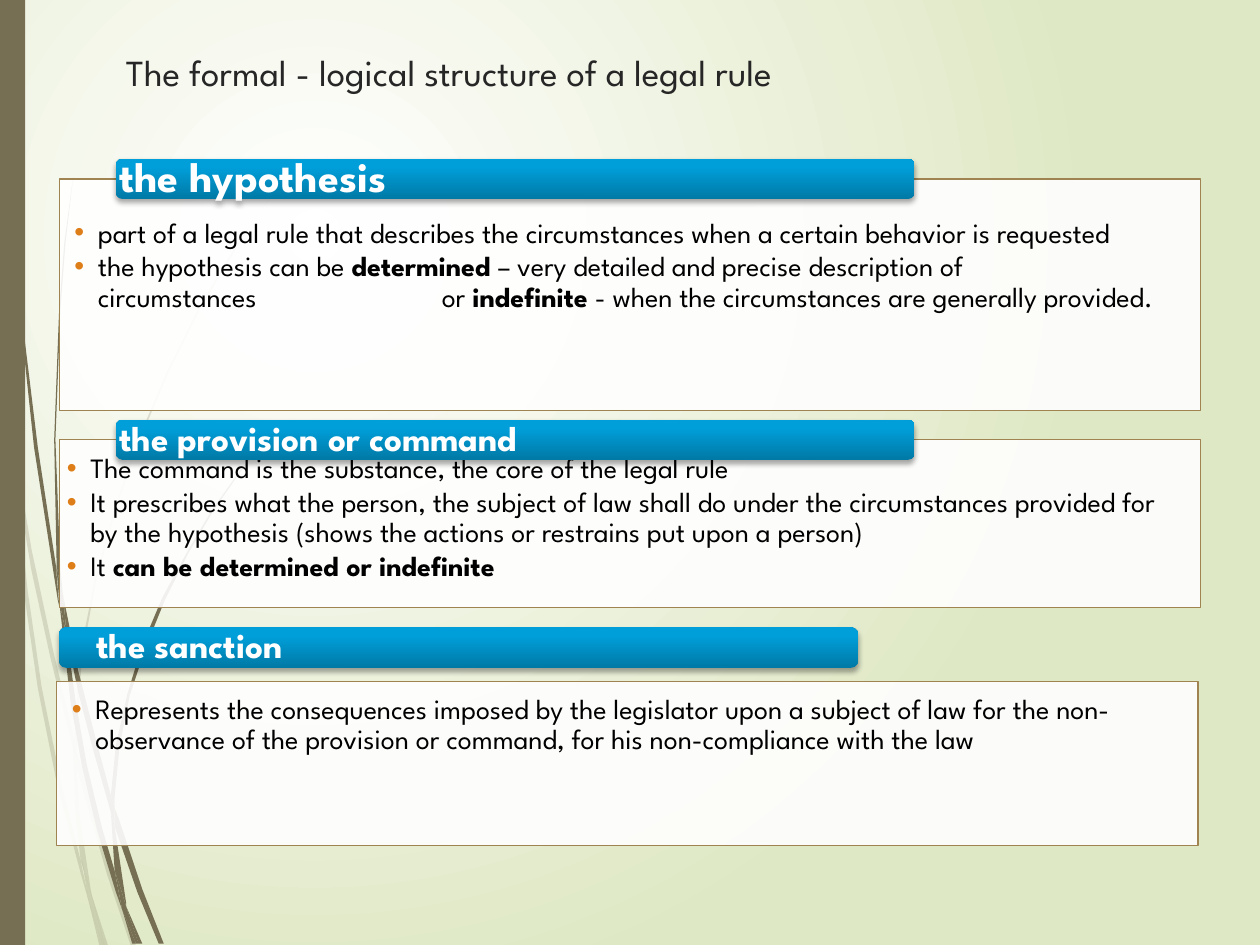
from dataclasses import dataclass

from pptx import Presentation
from pptx import util as u
from pptx.dml.color import RGBColor
from pptx.enum import shapes, text
from pptx.oxml import parse_xml
from pptx.oxml.ns import nsdecls, qn


@dataclass(frozen=True)
class Theme:
    """Colours, type sizes and font of the slide."""
    font: str = "League Spartan"
    olive: str = "766F54"
    ink: str = "000000"
    title_ink: str = "262626"
    white: str = "FFFFFF"
    border: str = "9F8351"
    bullet: str = "DE7E18"
    page: tuple = ((0, "FFFFFF"), (100, "DFE8C4"))
    bar: tuple = ((0, "0079A6"), (80, "009FDA"), (100, "00A0DB"))
    title_size: float = 21
    body_size: float = 16


T = Theme()
GRID = 0.72

PALE_WISPS = [
    [(8, 350), (6, 322), (0, 282), (0, 299), (7, 344)],
    [(40, 522), (59, 599), (59, 586), (43, 520), (25, 436), (10, 345), (12, 376), (25, 453)],
    [(64, 607), (61, 596), (61, 610), (85, 694), (104, 751), (108, 751), (88, 692)],
    [(83, 751), (86, 751), (73, 711)],
    [(64, 683), (48, 619), (33, 545), (22, 469), (12, 376), (8, 350), (12, 411), (19, 470),
     (30, 546), (45, 621), (64, 693), (70, 714), (69, 707)],
    [(58, 599), (60, 646), (64, 683), (67, 692), (73, 711), (72, 706), (63, 646), (61, 610), (61, 608)],
    [(61, 584), (65, 522), (76, 462), (92, 404), (111, 349), (134, 295), (159, 245), (187, 198),
     (201, 175), (217, 154), (217, 153), (201, 175), (186, 197), (158, 244), (133, 294), (110, 348),
     (91, 403), (75, 461), (63, 522), (59, 584), (59, 586), (61, 596)],
    [(70, 714), (79, 751), (82, 751)],
    [(61, 608), (61, 610), (61, 596), (59, 586), (58, 599)],
    [(67, 692), (65, 683), (69, 707), (70, 714), (82, 751), (83, 751), (73, 711)],
]
DARK_WISPS = [
    [(5, 110), (14, 233), (27, 355), (46, 477), (47, 481), (45, 457), (45, 453), (30, 355),
     (15, 232), (6, 109), (4, 48), (3, 0), (2, 0), (3, 48)],
    [(73, 592), (88, 645), (88, 633), (88, 631), (77, 590), (62, 532), (50, 472), (53, 505), (62, 549)],
    [(94, 649), (91, 641), (91, 656), (109, 708), (126, 749), (130, 749), (113, 706)],
    [(91, 691), (81, 657), (69, 607), (60, 556), (53, 505), (47, 477), (56, 557), (65, 608),
     (77, 659), (92, 708), (97, 722), (96, 717)],
    [(50, 472), (48, 453), (44, 349), (48, 245), (52, 193), (58, 141), (51, 193), (47, 245),
     (43, 349), (45, 449), (49, 472)],
    [(110, 749), (113, 749), (100, 719)],
    [(47, 477), (53, 505), (50, 472), (49, 472), (45, 449), (45, 453)],
    [(91, 633), (95, 592), (103, 552), (116, 513), (131, 476), (149, 440), (169, 406), (191, 374),
     (203, 359), (216, 344), (215, 344), (203, 358), (191, 373), (168, 405), (148, 439), (129, 474),
     (113, 512), (101, 551), (92, 591), (88, 631), (91, 641)],
    [(97, 722), (105, 749), (108, 749)],
    [(88, 645), (91, 691), (96, 706), (100, 719), (100, 716), (91, 656), (90, 651)],
    [(88, 645), (90, 651), (91, 656), (91, 641), (88, 631), (88, 633)],
    [(96, 706), (91, 691), (96, 717), (97, 722), (108, 749), (110, 749), (100, 719)],
]

SECTIONS = [
    dict(panel=(33.84, 102.24, 652.32, 132.48), bar=(66.24, 90.72, 456.48, 23.04),
         heading="the hypothesis", size=24, inset=0.7, shift=(0, 14.2),
         items=["part of a legal rule that describes the circumstances when a certain behavior is requested",
                "the hypothesis can be *determined *– very detailed and precise description of\n"
                "circumstances\tor *indefinite* - when the circumstances are generally provided."]),
    dict(panel=(33.84, 251.28, 652.32, 95.76), bar=(66.24, 239.76, 456.48, 23.04),
         heading="the provision or command", size=20, inset=0.7, shift=(-4.3, 0),
         items=["The command is the substance, the core of the legal rule",
                "It prescribes what the person, the subject of law shall do under the circumstances "
                "provided for by the hypothesis (shows the actions or restrains put upon a person)",
                "It *can be determined or indefinite*"]),
    dict(panel=(32.4, 389.52, 652.32, 93.6), bar=(33.84, 358.56, 456.48, 23.04),
         heading="the sanction", size=20, inset=20, shift=(0, -0.7),
         items=["Represents the consequences imposed by the legislator upon a subject of law for the "
                "non-observance of the provision or command, for his non-compliance with the law"]),
]


def pts(box):
    """Turn a box of numbers into point lengths."""
    return [u.Pt(v) for v in box]


def set_attrs(obj, **values):
    """Set several attributes of an object."""
    for name, value in values.items():
        setattr(obj, name, value)


def paint(sp, color, alpha=100):
    """Give a shape a plain fill without line or shadow."""
    sp.shadow.inherit = False
    sp.line.fill.background()
    sp.fill.solid()
    sp.fill.fore_color.rgb = RGBColor.from_string(color)
    if alpha < 100:
        clr = sp._element.spPr.find(".//" + qn("a:srgbClr"))
        clr.append(parse_xml(f'<a:alpha {nsdecls("a")} val="{alpha * 1000}"/>'))


def paint_gradient(owner, element, stops, direction):
    """Give a shape or background a gradient of the given stops."""
    owner.fill.gradient()
    old = element.find(".//" + qn("a:gradFill"))
    gs = "".join(f'<a:gs pos="{pos * 1000}"><a:srgbClr val="{c}"/></a:gs>' for pos, c in stops)
    old.getparent().replace(old, parse_xml(
        f'<a:gradFill {nsdecls("a")} rotWithShape="1"><a:gsLst>{gs}</a:gsLst>{direction}</a:gradFill>'))


def set_frame(tf, anchor, margins):
    """Set wrapping, anchor and the left, top, right and bottom margins."""
    left, top, right, bottom = pts(margins)
    set_attrs(tf, word_wrap=True, vertical_anchor=anchor, margin_left=left,
              margin_top=top, margin_right=right, margin_bottom=bottom)


def add_run(p, words, size, color, bold=False):
    """Add a styled run to a paragraph."""
    r = p.add_run()
    r.text = words
    set_attrs(r.font, name=T.font, size=u.Pt(size), bold=bold)
    r.font.color.rgb = RGBColor.from_string(color)


def add_bullet(p, words):
    """Fill a bulleted paragraph, with words between asterisks in bold."""
    set_attrs(p, line_spacing=0.9, space_before=u.Pt(2))
    pPr = p._p.get_or_add_pPr()
    pPr.set("marL", str(u.Pt(13.5)))
    pPr.set("indent", str(-u.Pt(13.5)))
    for inner in (f'buClr {nsdecls("a")}><a:srgbClr val="{T.bullet}"/></a:buClr>',
                  f'buFont {nsdecls("a")} typeface="Arial"/>',
                  f'buChar {nsdecls("a")} char="•"/>',
                  f'tabLst {nsdecls("a")}><a:tab pos="{u.Pt(210)}" algn="l"/></a:tabLst>'):
        pPr.append(parse_xml("<a:" + inner))
    for i, part in enumerate(words.split("*")):
        for j, line in enumerate(part.split("\n")):
            if j:
                p.add_line_break()
            if line:
                add_run(p, line, T.body_size, T.ink, bold=i % 2 == 1)


def add_backdrop(s, box):
    """Draw the page gradient, the wisps and the strip at the left."""
    paint_gradient(s.background, s.element, T.page,
                   '<a:path path="circle"><a:fillToRect l="50000" t="50000" r="100000" b="100000"/></a:path>')
    left, top, _, height = box
    for wisps, alpha in ((PALE_WISPS, 20), (DARK_WISPS, 100)):
        for outline in wisps:
            points = [(x + left / GRID, y + top / GRID) for x, y in outline]
            fb = s.shapes.build_freeform(*points[0], scale=u.Pt(GRID))
            fb.add_line_segments(points[1:], close=True)
            paint(fb.convert_to_shape(), T.olive, alpha)
    strip = s.shapes.add_shape(shapes.MSO_SHAPE.RECTANGLE, *pts((left, top, 14.4, height)))
    paint(strip, T.olive)


def add_title(s, box, words):
    """Write the slide title."""
    tf = s.shapes.add_textbox(*pts(box)).text_frame
    set_frame(tf, text.MSO_ANCHOR.TOP, (7.2, 8, 7.2, 3.6))
    add_run(tf.paragraphs[0], words, T.title_size, T.title_ink)


def add_section(s, panel, bar, heading, size, inset, shift, items):
    """Draw a panel with its bulleted text and its heading bar."""
    sp = s.shapes.add_shape(shapes.MSO_SHAPE.RECTANGLE, *pts(panel))
    paint(sp, T.white, 90)
    sp.line.color.rgb = RGBColor.from_string(T.border)
    sp.line.width = u.Pt(0.75)

    left, top, width, height = panel
    dx, dy = shift
    body = (left + dx, top + dy, width - dx, height - dy)
    tf = s.shapes.add_textbox(*pts(body)).text_frame
    set_frame(tf, text.MSO_ANCHOR.TOP, (8.64,) * 4)
    for i, item in enumerate(items):
        add_bullet(tf.add_paragraph() if i else tf.paragraphs[0], item)

    sp = s.shapes.add_shape(shapes.MSO_SHAPE.ROUNDED_RECTANGLE, *pts(bar))
    sp.adjustments[0] = 0.17
    paint(sp, T.white)
    paint_gradient(sp, sp._element, T.bar, '<a:lin ang="16200000" scaled="0"/>')
    sp._element.spPr.find(qn("a:effectLst")).append(parse_xml(
        f'<a:outerShdw {nsdecls("a")} blurRad="{u.Pt(3)}" dist="{u.Pt(1.8)}" dir="5400000" rotWithShape="0">'
        f'<a:srgbClr val="{T.ink}"><a:alpha val="35000"/></a:srgbClr></a:outerShdw>'))
    set_frame(sp.text_frame, text.MSO_ANCHOR.MIDDLE, (inset, 0, 0, 0))
    p = sp.text_frame.paragraphs[0]
    set_attrs(p, alignment=text.PP_ALIGN.LEFT, line_spacing=0.9)
    add_run(p, heading, size, T.white, bold=True)


def main():
    """Build and save the slide."""
    prs = Presentation()
    set_attrs(prs, slide_width=u.Pt(720), slide_height=u.Pt(540))
    s = prs.slides.add_slide(prs.slide_layouts[6])
    add_backdrop(s, (0, 0, 720, 540))
    add_title(s, (64.8, 20.16, 592.56, 51.84), "The formal - logical structure of a legal rule")
    for section in SECTIONS:
        add_section(s, **section)
    prs.save("out.pptx")


if __name__ == "__main__":
    main()
